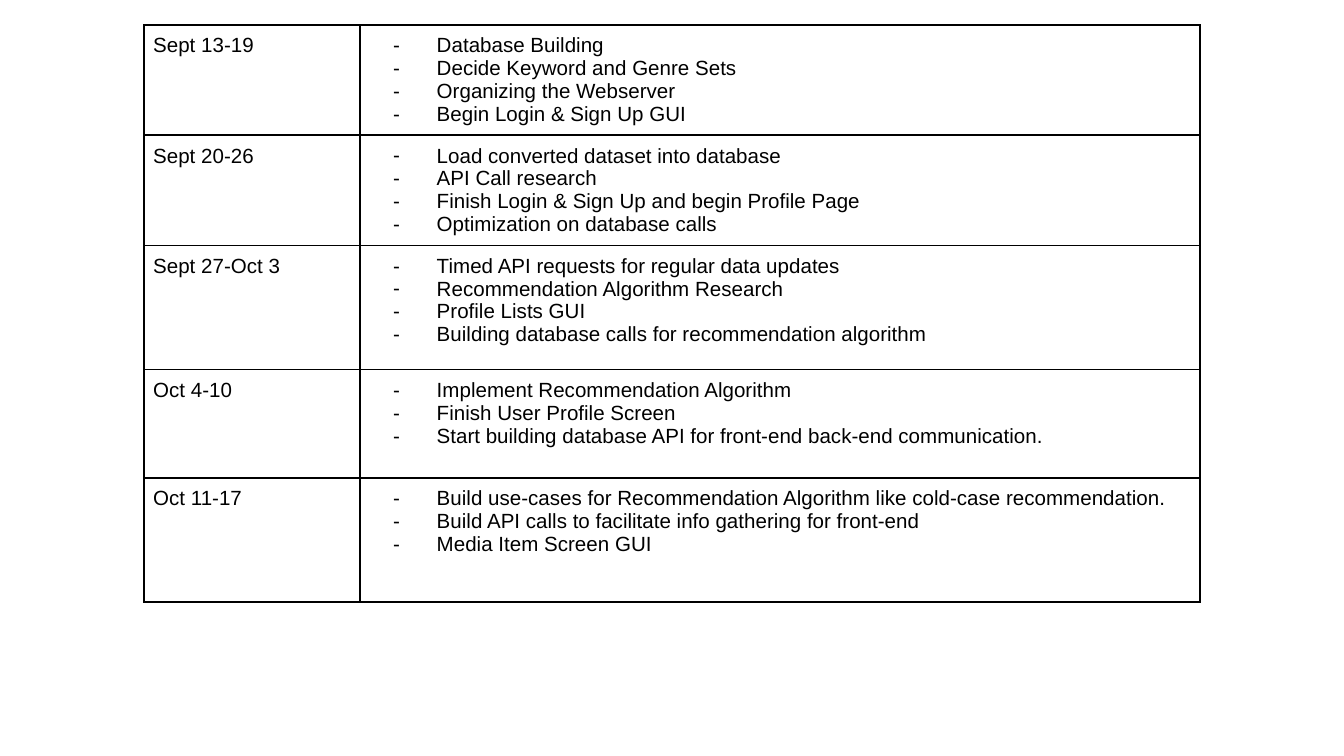
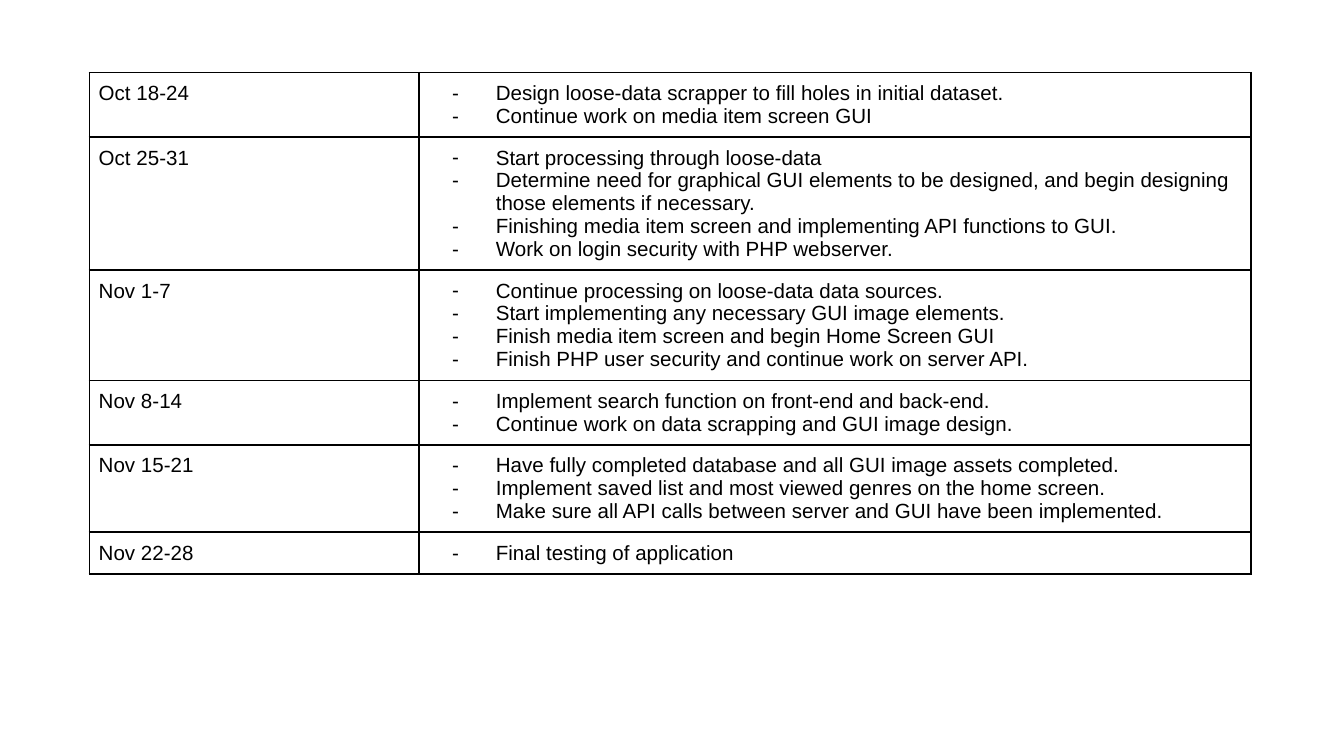
from dataclasses import dataclass

from lxml import etree
from pptx import Presentation
from pptx.dml.color import RGBColor
from pptx.oxml.ns import qn
from pptx.util import Emu, Pt

PX = 4572
SLIDE_WIDTH, SLIDE_HEIGHT = 2000, 1125
CELL_INSET = 14
BULLET_MARGIN, BULLET_HANG = 100, 65
BORDER_POINTS = 1
BLANK_LAYOUT = 6
FONT = "Arial"
FONT_SIZE = 11
COLORS = {"background": "FFFFFF", "text": "000000", "border": "000000"}


@dataclass(frozen=True)
class Week:
    dates: str
    tasks: tuple[str, ...]
    height: int


@dataclass(frozen=True)
class Schedule:
    left: int
    top: int
    column_widths: tuple[int, int]
    weeks: tuple[Week, ...]


SCHEDULES = (
    Schedule(214, 37, (322, 1250), (
        Week("Sept 13-19", (
            "Database Building",
            "Decide Keyword and Genre Sets",
            "Organizing the Webserver",
            "Begin Login & Sign Up GUI",
        ), 164),
        Week("Sept 20-26", (
            "Load converted dataset into database",
            "API Call research",
            "Finish Login & Sign Up and begin Profile Page",
            "Optimization on database calls",
        ), 164),
        Week("Sept 27-Oct 3", (
            "Timed API requests for regular data updates",
            "Recommendation Algorithm Research",
            "Profile Lists GUI",
            "Building database calls for recommendation algorithm",
        ), 185),
        Week("Oct 4-10", (
            "Implement Recommendation Algorithm",
            "Finish User Profile Screen",
            "Start building database API for front-end back-end communication.",
        ), 161),
        Week("Oct 11-17", (
            "Build use-cases for Recommendation Algorithm like cold-case recommendation.",
            "Build API calls to facilitate info gathering for front-end",
            "Media Item Screen GUI",
        ), 185),
    )),
    Schedule(133, 108, (491, 1238), (
        Week("Oct 18-24", (
            "Design loose-data scrapper to fill holes in initial dataset.",
            "Continue work on media item screen GUI",
        ), 96),
        Week("Oct 25-31", (
            "Start processing through loose-data",
            "Determine need for graphical GUI elements to be designed, and begin designing those elements if necessary.",
            "Finishing media item screen and implementing API functions to GUI.",
            "Work on login security with PHP webserver.",
        ), 198),
        Week("Nov 1-7", (
            "Continue processing on loose-data data sources.",
            "Start implementing any necessary GUI image elements.",
            "Finish media item screen and begin Home Screen GUI",
            "Finish PHP user security and continue work on server API.",
        ), 164),
        Week("Nov 8-14", (
            "Implement search function on front-end and back-end.",
            "Continue work on data scrapping and GUI image design.",
        ), 96),
        Week("Nov 15-21", (
            "Have fully completed database and all GUI image assets completed.",
            "Implement saved list and most viewed genres on the home screen.",
            "Make sure all API calls between server and GUI have been implemented.",
        ), 130),
        Week("Nov 22-28", ("Final testing of application",), 62),
    )),
)


def px(length: int) -> Emu:
    return Emu(length * PX)


def add_color(parent, color: str) -> None:
    etree.SubElement(parent, qn("a:srgbClr"), val=COLORS[color])


def add_dash(paragraph) -> None:
    properties = paragraph._p.get_or_add_pPr()
    properties.set("marL", str(px(BULLET_MARGIN)))
    properties.set("indent", str(px(-BULLET_HANG)))
    add_color(etree.SubElement(properties, qn("a:buClr")), "text")
    etree.SubElement(properties, qn("a:buFont"), typeface=FONT)
    etree.SubElement(properties, qn("a:buChar"), char="-")


def write_text(paragraph, text: str, *, size: int = FONT_SIZE,
               color: str = "text", dashed: bool = False) -> None:
    if dashed:
        add_dash(paragraph)
    run = paragraph.add_run()
    run.text = text
    run.font.name = FONT
    run.font.size = Pt(size)
    run.font.color.rgb = RGBColor.from_string(COLORS[color])


def format_cell(cell) -> None:
    cell.margin_left = cell.margin_right = px(CELL_INSET)
    cell.margin_top = cell.margin_bottom = px(CELL_INSET)
    properties = cell._tc.get_or_add_tcPr()
    for side in "LRTB":
        line = etree.SubElement(properties, qn(f"a:ln{side}"), w=str(Pt(BORDER_POINTS)))
        add_color(etree.SubElement(line, qn("a:solidFill")), "border")
    cell.fill.background()


def fill_cell(cell, lines: tuple[str, ...], dashed: bool) -> None:
    format_cell(cell)
    for index, text in enumerate(lines):
        frame = cell.text_frame
        paragraph = frame.add_paragraph() if index else frame.paragraphs[0]
        write_text(paragraph, text, dashed=dashed)


def add_schedule(slide, schedule: Schedule) -> None:
    table = slide.shapes.add_table(
        len(schedule.weeks), len(schedule.column_widths),
        px(schedule.left), px(schedule.top),
        px(sum(schedule.column_widths)),
        px(sum(week.height for week in schedule.weeks)),
    ).table
    table.first_row = False
    table.horz_banding = False
    for column, width in zip(table.columns, schedule.column_widths):
        column.width = px(width)
    for row, week in zip(table.rows, schedule.weeks):
        row.height = px(week.height)
        dates_cell, tasks_cell = row.cells
        fill_cell(dates_cell, (week.dates,), dashed=False)
        fill_cell(tasks_cell, week.tasks, dashed=True)


def main() -> None:
    presentation = Presentation()
    presentation.slide_width = px(SLIDE_WIDTH)
    presentation.slide_height = px(SLIDE_HEIGHT)
    for schedule in SCHEDULES:
        slide = presentation.slides.add_slide(presentation.slide_layouts[BLANK_LAYOUT])
        slide.background.fill.solid()
        slide.background.fill.fore_color.rgb = RGBColor.from_string(COLORS["background"])
        add_schedule(slide, schedule)
    presentation.save("out.pptx")


if __name__ == "__main__":
    main()
